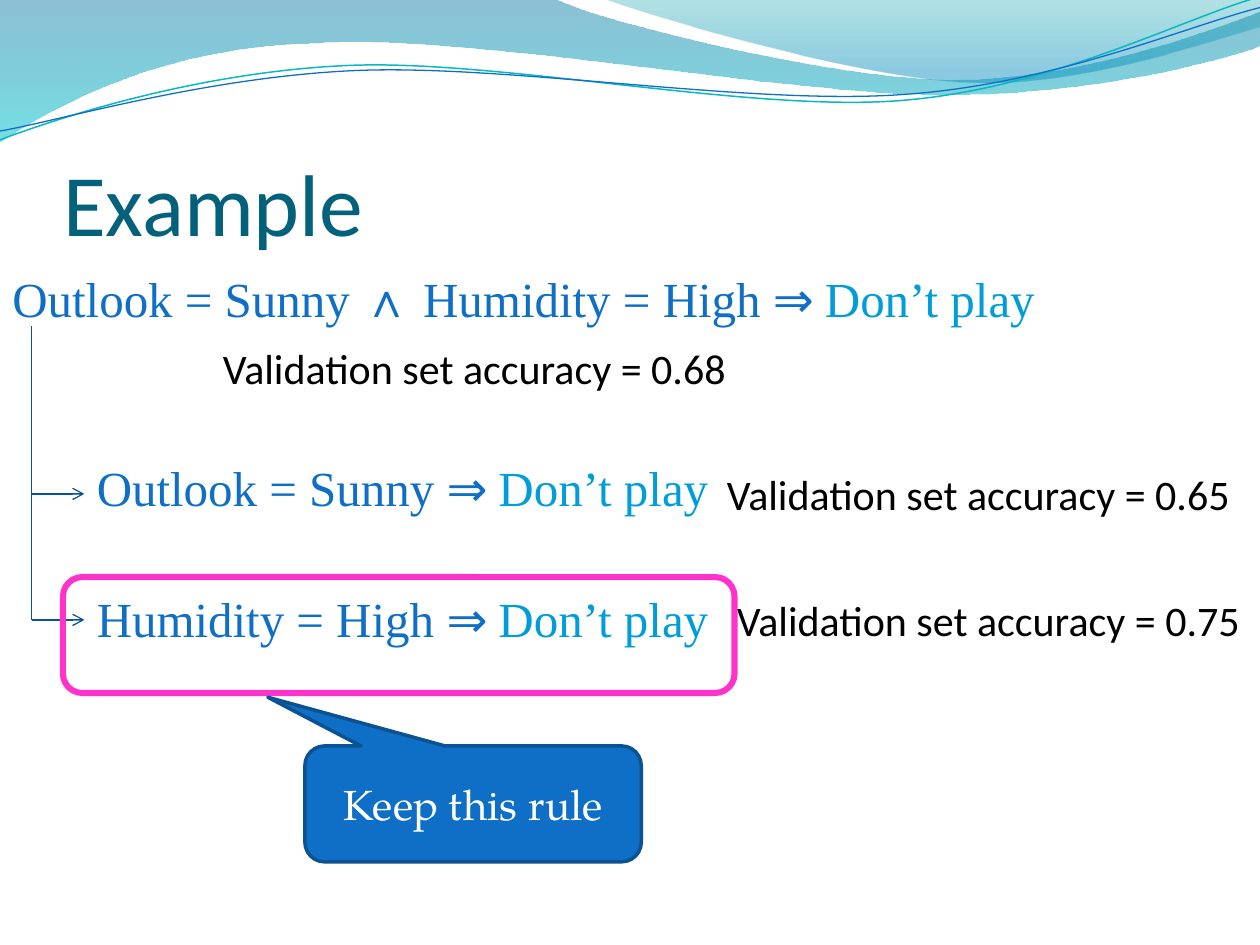
"""Build the slide that compares a pruned rule with its validation accuracies."""
from dataclasses import dataclass

from pptx import Presentation
from pptx.dml.color import RGBColor as Rgb
from pptx.enum.shapes import MSO_CONNECTOR as Connector, MSO_SHAPE as Shape
from pptx.enum.text import MSO_ANCHOR as Anchor, PP_ALIGN as Align
from pptx.oxml.ns import qn
from pptx.oxml.xmlchemy import OxmlElement
from pptx.util import Inches, Pt


@dataclass(frozen=True)
class Theme:
    title: str = "04617B"
    condition: str = "0F6FC6"
    outcome: str = "009DD9"
    body: str = "000000"
    branch: str = "095295"
    highlight: str = "FF33CC"
    callout_edge: str = "0B5292"
    white: str = "FFFFFF"
    teal: str = "0AB8BF"
    sans: str = "Calibri"
    serif: str = "Times New Roman"
    callout_font: str = "TeX Gyre Pagella"
    title_size: int = 50
    rule_size: int = 28
    body_size: int = 24


theme = Theme()


def add_span(para, text, font, size, color):
    span = para.add_run()
    span.text = text
    span.font.name = font
    span.font.size = Pt(size)
    span.font.color.rgb = Rgb.from_string(color)


def add_curve(page, start, segments, closed):
    points = [(Inches(x), Inches(y)) for segment in segments for x, y in segment]
    builder = page.shapes.build_freeform(Inches(start[0]), Inches(start[1]), scale=1.0)
    builder.add_line_segments(points, close=closed)
    shape = builder.convert_to_shape()
    shape.shadow.inherit = False
    steps = iter(list(shape.element.iter(qn("a:lnTo"))))
    for segment in segments:
        first, *others = [next(steps) for point in segment]
        if others:
            bezier = OxmlElement("a:cubicBezTo")
            first.addprevious(bezier)
            for step in (first, *others):
                bezier.append(step[0])
                step.getparent().remove(step)
    return shape


deck = Presentation()
deck.slide_width, deck.slide_height = Inches(10), Inches(7.5)
page = deck.slides.add_slide(deck.slide_layouts[5])

waves = [
    ((0, 0), [
        [(4.4, -0.01)],
        [(4.76, 0.17), (6.64, 0.63), (7.58, 0.63)],
        [(8.53, 0.63), (9.58, 0.26), (10, 0.09)],
        [(10.01, 0.36)],
        [(9.83, 0.44), (8.7, 0.76), (7.46, 0.75)],
        [(6.22, 0.75), (3.82, 0.28), (2.57, 0.34)],
        [(1.29, 0.36), (0.46, 0.83), (-0.01, 1.13)],
    ], [(0, "0074A1", 45), (100, "00C6CF", 55)]),
    ((4.79, -0.01), [
        [(5.09, 0.11), (6.82, 0.62), (7.69, 0.65)],
        [(8.56, 0.69), (9.61, 0.32), (10, 0.21)],
        [(10, 0)],
    ], [(0, "00A1A9", 30), (80, "008BBF", 45)]),
]
for start, segments, stops in waves:
    wave = add_curve(page, start, segments, True)
    wave.line.fill.background()
    wave.fill.gradient()
    wave.fill.gradient_angle = 270
    for stop, (position, color, opacity) in zip(wave.fill.gradient_stops, stops):
        stop.color.rgb = Rgb.from_string(color)
    for node, (position, color, opacity) in zip(wave.element.iter(qn("a:gs")), stops):
        node.set("pos", str(position * 1000))
        alpha = OxmlElement("a:alpha")
        alpha.set("val", str(opacity * 1000))
        node[0].append(alpha)

strands = [
    ((0, 1.11), [
        [(0.48, 0.93), (1.58, 0.57), (2.77, 0.52)],
        [(3.95, 0.47), (5.93, 0.89), (7.13, 0.8)],
        [(8.33, 0.71), (9.38, 0.15), (9.98, -0.02)],
    ], theme.teal, 0.85),
    ((0, 1.04), [
        [(0.47, 0.96), (1.64, 0.61), (2.83, 0.56)],
        [(4.03, 0.51), (5.97, 0.84), (7.17, 0.75)],
        [(8.36, 0.67), (9.41, 0.21), (10, 0.06)],
    ], theme.condition, 0.75),
]
for start, segments, color, width in strands:
    strand = add_curve(page, start, segments, False)
    strand.fill.background()
    strand.line.color.rgb = Rgb.from_string(color)
    strand.line.width = Pt(width)

title = page.shapes.title
title.element.getparent().append(title.element)
title.left, title.top, title.width, title.height = map(Inches, (0.5, 0.77, 9.08, 1.25))
frame = title.text_frame
frame.vertical_anchor = Anchor.BOTTOM
frame.margin_left = frame.margin_right = frame.margin_bottom = 0
frame.margin_top = Inches(0.05)
frame.paragraphs[0].alignment = Align.LEFT
add_span(frame.paragraphs[0], "Example", theme.sans, theme.title_size, theme.title)

rules = [
    (0, 2.08, "Outlook = Sunny ∧ Humidity = High "),
    (0.67, 3.58, "Outlook = Sunny "),
    (0.67, 4.62, "Humidity = High "),
]
for left, top, condition in rules:
    box = page.shapes.add_textbox(Inches(left), Inches(top), Inches(9.87), Inches(1.04))
    box.text_frame.word_wrap = True
    para = box.text_frame.paragraphs[0]
    add_span(para, condition, theme.serif, theme.rule_size, theme.condition)
    add_span(para, "⇒ ", theme.sans, theme.rule_size, theme.condition)
    add_span(para, "Don’t play", theme.serif, theme.rule_size, theme.outcome)

branches = [
    ((0.25, 4.92), (0.67, 4.92), True),
    ((0.25, 3.92), (0.67, 3.92), True),
    ((0.25, 2.59), (0.25, 4.92), False),
]
for start, end, has_arrow in branches:
    branch = page.shapes.add_connector(Connector.STRAIGHT, *map(Inches, start + end))
    branch.line.color.rgb = Rgb.from_string(theme.branch)
    branch.line.width = Pt(0.75)
    if has_arrow:
        arrow = OxmlElement("a:tailEnd")
        arrow.set("type", "arrow")
        branch.line._get_or_add_ln().append(arrow)
    branch.element.spPr.append(OxmlElement("a:effectLst"))

accuracies = [(1.67, 2.67, 5.5, "0.68"), (5.67, 3.67, 4.33, "0.65"), (5.75, 4.67, 4.33, "0.75")]
for left, top, width, value in accuracies:
    box = page.shapes.add_textbox(Inches(left), Inches(top), Inches(width), Inches(0.51))
    box.text_frame.word_wrap = True
    add_span(box.text_frame.paragraphs[0], f"Validation set accuracy = {value}",
             theme.sans, theme.body_size, theme.body)

highlight = page.shapes.add_shape(
    Shape.ROUNDED_RECTANGLE, Inches(0.5), Inches(4.58), Inches(5.33), Inches(0.92))
highlight.shadow.inherit = False
highlight.fill.background()
highlight.line.color.rgb = Rgb.from_string(theme.highlight)
highlight.line.width = Pt(3.5)

callout = page.shapes.add_shape(
    Shape.ROUNDED_RECTANGULAR_CALLOUT, Inches(2.42), Inches(5.92), Inches(2.67), Inches(0.92))
callout.shadow.inherit = False
for index, value in enumerate((-0.61, -0.92, 0.17)):
    callout.adjustments[index] = value
callout.fill.solid()
callout.fill.fore_color.rgb = Rgb.from_string(theme.condition)
callout.line.color.rgb = Rgb.from_string(theme.callout_edge)
callout.line.width = Pt(2)
callout.text_frame.word_wrap = True
callout.text_frame.vertical_anchor = Anchor.MIDDLE
para = callout.text_frame.paragraphs[0]
para.alignment = Align.CENTER
add_span(para, "Keep this rule", theme.callout_font, theme.body_size, theme.white)

deck.save("out.pptx")
